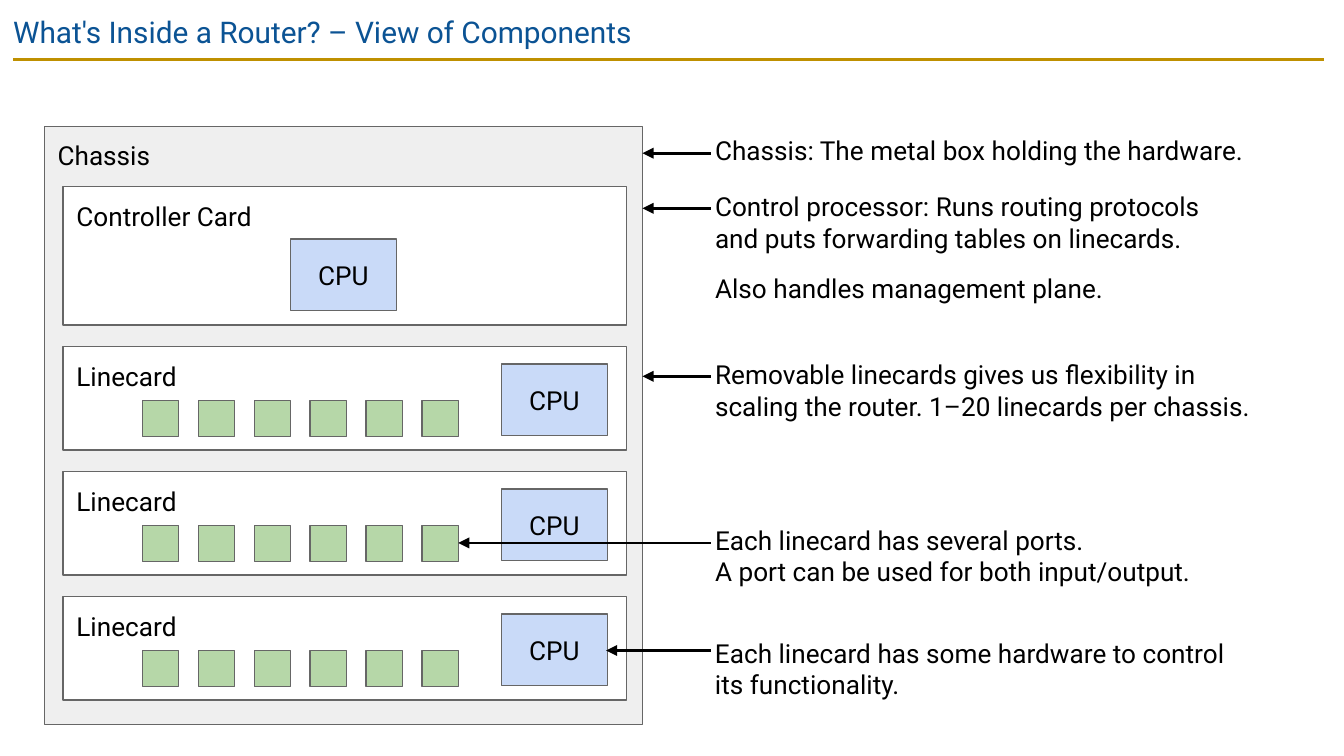
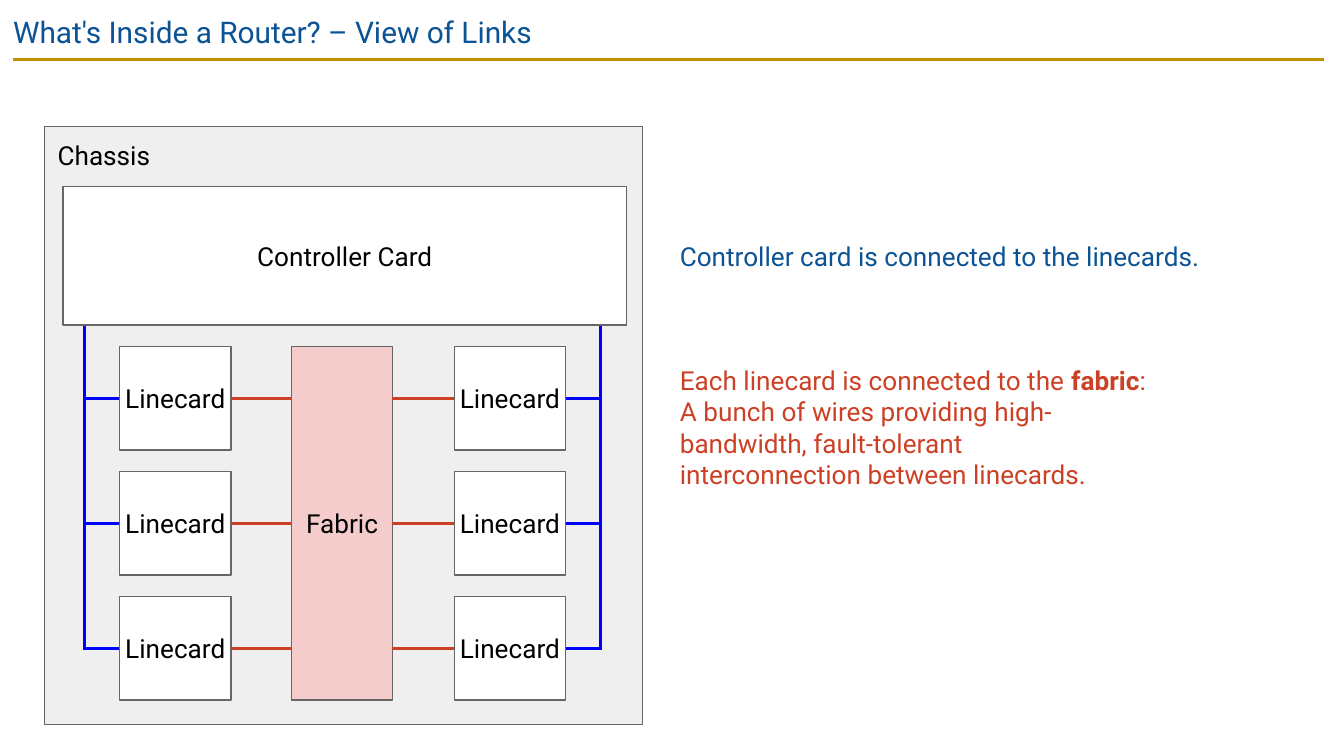
"""Build two slides on the inside of a router: its components and its links."""
import pptx
import pptx.dml.color
import pptx.enum.shapes
import pptx.enum.text
import pptx.oxml.ns
import pptx.util
from lxml import etree

Inches = pptx.util.Inches
Pt = pptx.util.Pt
colour = pptx.dml.color.RGBColor.from_string

NAVY, GOLD, BLACK, WHITE = "0B5394", "BF9000", "000000", "FFFFFF"
OUTLINE, CHASSIS, CPU, PORT, FABRIC = "666666", "EFEFEF", "C9DAF8", "B6D7A8", "F4CCCC"
CONTROL_LINK, FABRIC_LINK = "0000FF", "CC4125"

CONTROLLER = (0.47, 1.39, 4.19, 1.03)
CARD_TOPS = [2.58 + 0.93 * row for row in range(3)]
CARD_HEIGHT = 0.77


def box(slide, place, text="", fill=None, ink=BLACK, size=14, inset=0.1, centred=False):
    left, top, width, height = map(Inches, place)
    if fill:
        shape = slide.shapes.add_shape(
            pptx.enum.shapes.MSO_SHAPE.RECTANGLE, left, top, width, height)
        shape.shadow.inherit = False
        shape.fill.solid()
        shape.fill.fore_color.rgb = colour(fill)
        shape.line.color.rgb = colour(OUTLINE)
        shape.line.width = Pt(0.75)
    else:
        shape = slide.shapes.add_textbox(left, top, width, height)
    frame = shape.text_frame
    frame.word_wrap = True
    frame.margin_left = frame.margin_right = Inches(inset)
    frame.margin_top = frame.margin_bottom = Inches(inset)
    anchors, aligns = pptx.enum.text.MSO_ANCHOR, pptx.enum.text.PP_ALIGN
    frame.vertical_anchor = anchors.MIDDLE if centred else anchors.TOP
    frame.text = text
    for number, paragraph in enumerate(frame.paragraphs):
        paragraph.alignment = aligns.CENTER if centred else aligns.LEFT
        if number:
            paragraph.space_before = Pt(10)
        for run in paragraph.runs:
            run.font.name = "Roboto"
            run.font.size = Pt(size)
            run.font.color.rgb = colour(ink)
    return shape


def wire(slide, start, end, ink, arrow=False):
    connector = slide.shapes.add_connector(
        pptx.enum.shapes.MSO_CONNECTOR.STRAIGHT, *map(Inches, start + end))
    connector.line.color.rgb = colour(ink)
    connector.line.width = Pt(1.5)
    if arrow:
        outline = connector.line._get_or_add_ln()
        etree.SubElement(outline, pptx.oxml.ns.qn("a:tailEnd"), type="triangle")
    etree.SubElement(connector._element.spPr, pptx.oxml.ns.qn("a:effectLst"))


deck = pptx.Presentation()
deck.slide_width = Inches(10)
deck.slide_height = deck.slide_width * 9 // 16

views = []
for topic in ("Components", "Links"):
    view = deck.slides.add_slide(deck.slide_layouts[6])
    wire(view, (0.1, 0.44), (9.85, 0.44), GOLD)
    box(view, (0.33, 0.94, 4.45, 4.45), "Chassis", CHASSIS)
    box(view, (0, 0, 10, 0.43), f"What's Inside a Router? – View of {topic}", ink=NAVY, size=16)
    views.append(view)
components, links = views

box(components, CONTROLLER, "Controller Card", WHITE)
cpu_spots = [(2.16, 1.78)]
for top in CARD_TOPS:
    box(components, (0.47, top, 4.19, CARD_HEIGHT), "Linecard", WHITE)
    for port in range(6):
        box(components, (1.06 + 2.08 * port / 5, top + 0.4, 0.27, 0.27), fill=PORT)
    cpu_spots.append((3.73, top + 0.13))
for left, top in cpu_spots:
    box(components, (left, top, 0.79, 0.53), "CPU", CPU, inset=0, centred=True)

explanations = [
    (0.97, 4.02, 0.3, 1.14, 4.78, "Chassis: The metal box holding the hardware."),
    (1.39, 4.02, 0.91, 1.55, 4.78,
     "Control processor: Runs routing protocols and puts forwarding tables on linecards.\n"
     "Also handles management plane."),
    (2.64, 4.19, 0.53, 2.8, 4.78,
     "Removable linecards gives us flexibility in scaling the router. "
     "1–20 linecards per chassis."),
    (3.87, 4.02, 0.53, 4.04, 3.41,
     "Each linecard has several ports.\vA port can be used for both input/output."),
    (4.71, 3.9, 0.53, 4.84, 4.51,
     "Each linecard has some hardware to control its functionality."),
]
for top, width, height, arrow_y, target_x, explanation in explanations:
    wire(components, (5.29, arrow_y), (target_x, arrow_y), BLACK, arrow=True)
    box(components, (5.29, top, width, height), explanation, inset=0.03)

box(links, (2.17, CARD_TOPS[0], 0.75, 2.63), "Fabric", FABRIC, centred=True)
for card_left, card_outer, bus_x, card_inner, fabric_edge in (
        (0.89, 0.89, 0.63, 1.72, 2.17), (3.38, 4.21, 4.47, 3.38, 2.92)):
    wire(links, (bus_x, 2.42), (bus_x, 4.84), CONTROL_LINK)
    for top in CARD_TOPS:
        middle = top + CARD_HEIGHT / 2
        wire(links, (card_inner, middle), (fabric_edge, middle), FABRIC_LINK)
        wire(links, (card_outer, middle), (bus_x, middle), CONTROL_LINK)
        box(links, (card_left, top, 0.83, CARD_HEIGHT), "Linecard", WHITE, inset=0, centred=True)
box(links, CONTROLLER, "Controller Card", WHITE, centred=True)

box(links, (4.96, 1.69, 4.26, 0.44), "Controller card is connected to the linecards.", ink=NAVY)
fabric_note = box(links, (4.96, 2.61, 3.68, 1.14), "Each linecard is connected to the ",
                  ink=FABRIC_LINK)
for words, bold in (
        ("fabric", True),
        (": A bunch of wires providing high-bandwidth, fault-tolerant "
         "interconnection between linecards.", False)):
    run = fabric_note.text_frame.paragraphs[0].add_run()
    run.text = words
    run.font.name = "Roboto"
    run.font.size = Pt(14)
    run.font.bold = bold
    run.font.color.rgb = colour(FABRIC_LINK)

deck.save("out.pptx")
